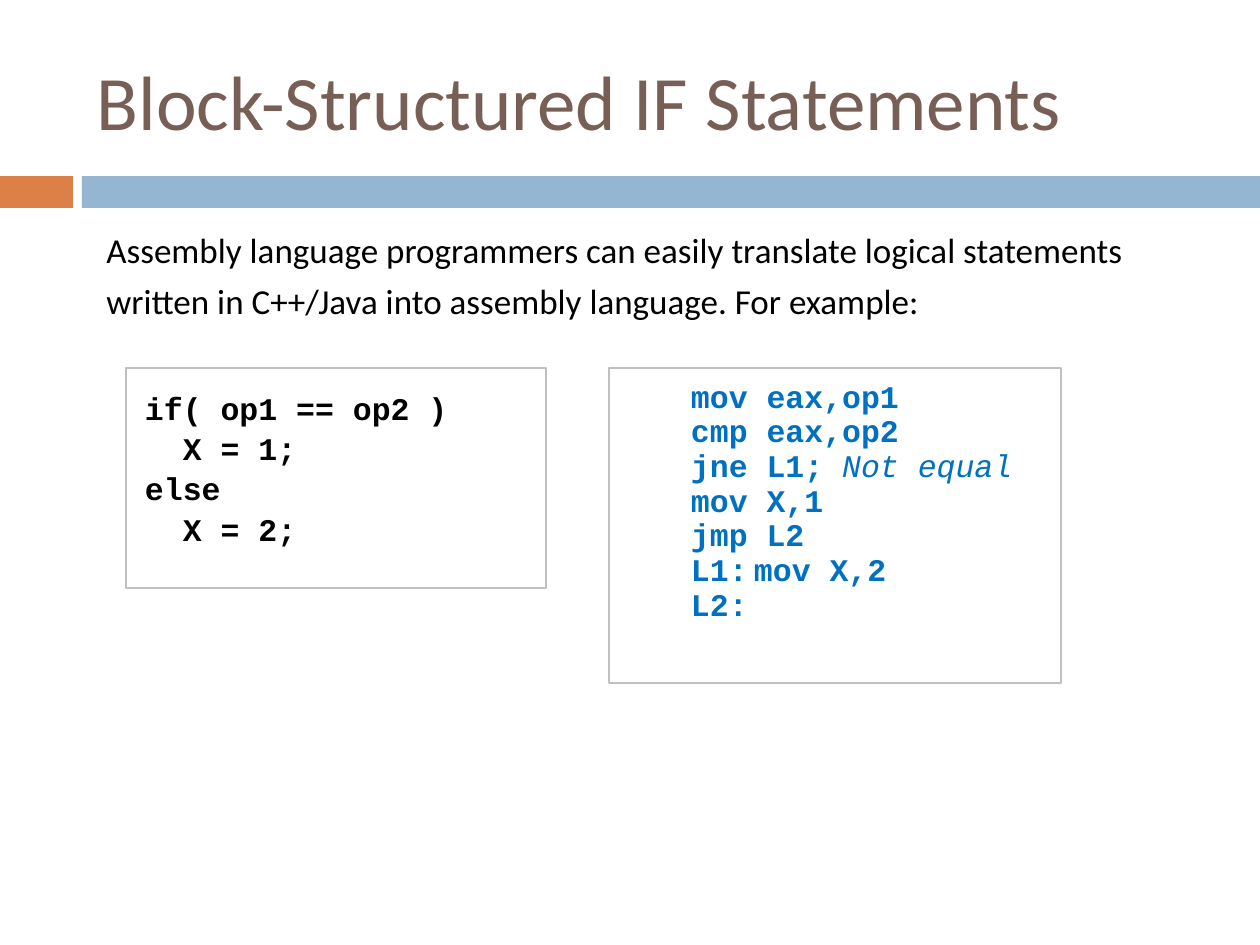
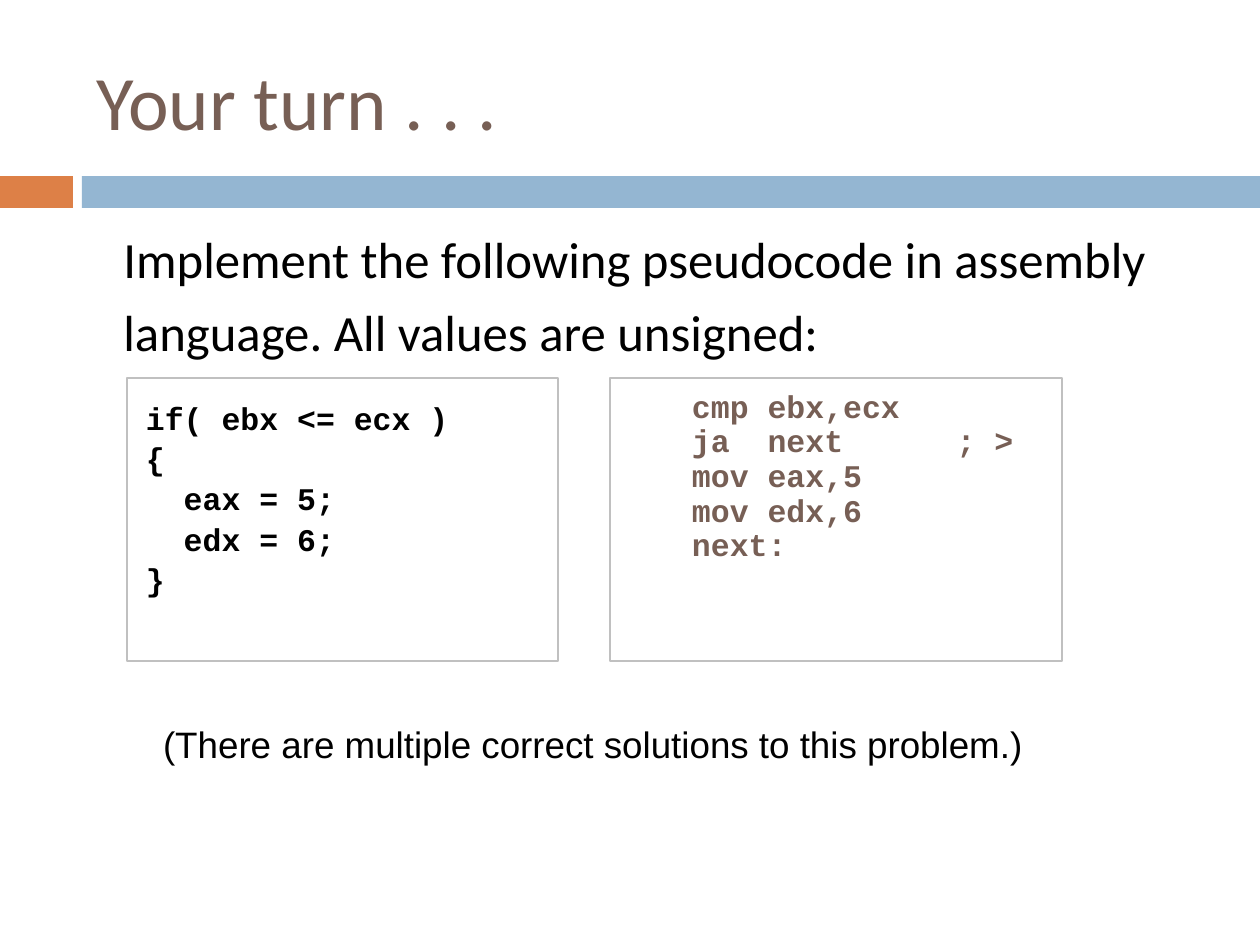
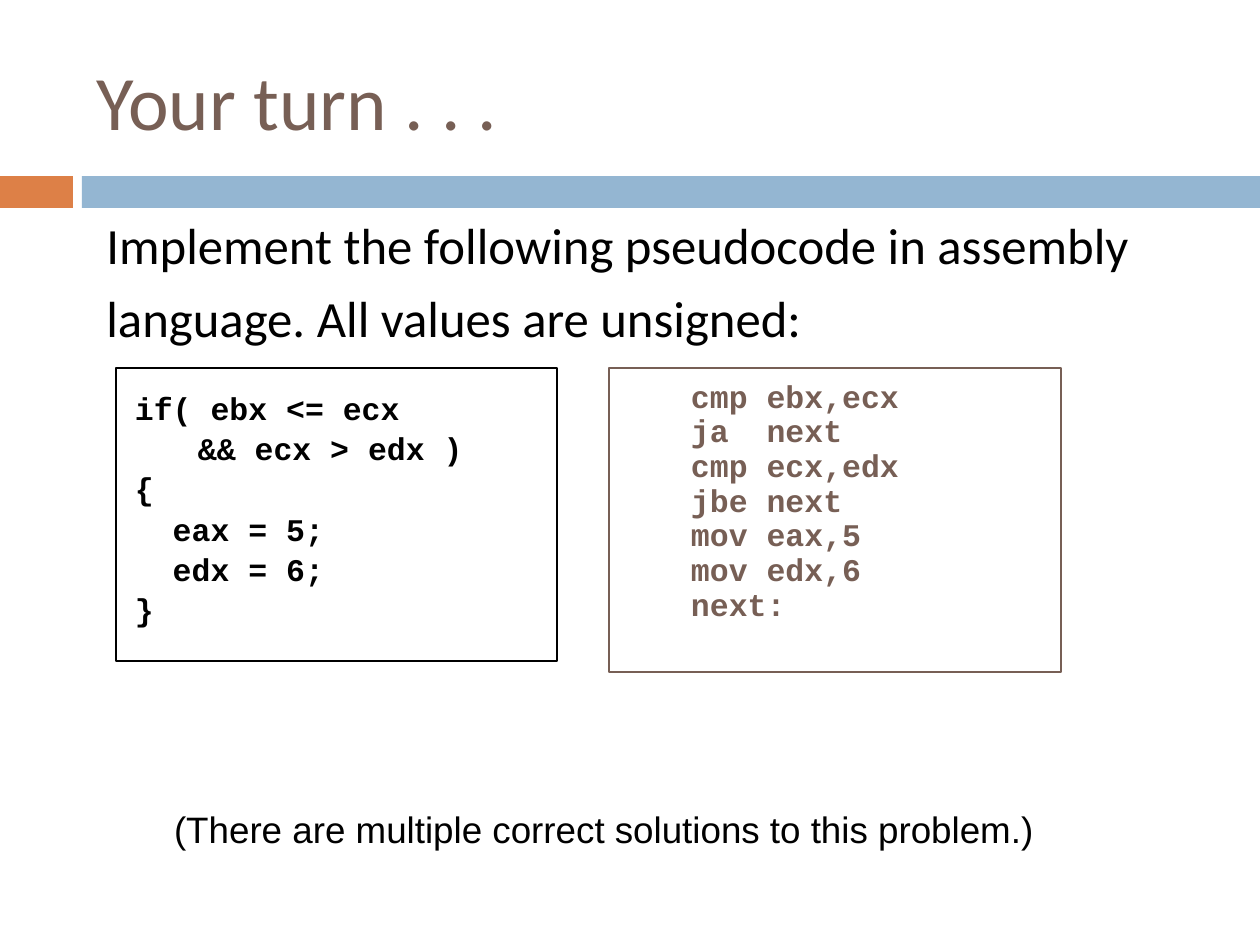
from lxml.etree import SubElement
from pptx import Presentation
from pptx.dml.color import RGBColor
from pptx.enum.shapes import MSO_SHAPE as Shape
from pptx.enum.text import MSO_ANCHOR as Anchor, MSO_AUTO_SIZE as AutoSize, PP_ALIGN as Align
from pptx.oxml.ns import qn
from pptx.util import Emu, Pt

PX = 914400 / 126
COLORS = {
    "brown": "775F55",
    "orange": "DD8047",
    "band": "94B6D2",
    "blue": "0070C0",
    "gray": "C0C0C0",
    "black": "000000",
}
TASK = "Implement the following pseudocode in assembly language. All values are unsigned:"
REMARK = "(There are multiple correct solutions to this problem.)"
TAB_STOPS = (63, 504, 567)


def px(length):
    """Turn pixels into EMU."""
    return Emu(round(length * PX))


def rgb(name):
    """Look up a named colour."""
    return RGBColor.from_string(COLORS[name])


def style(span, font, size, color, bold=False, italic=False):
    """Format one run."""
    span.font.name = font
    span.font.size = Pt(size)
    span.font.color.rgb = rgb(color)
    span.font.bold = bold
    span.font.italic = italic


def set_insets(frame, across, down):
    """Set the side and the top and bottom insets of a text frame."""
    frame.margin_left = frame.margin_right = px(across)
    frame.margin_top = frame.margin_bottom = px(down)


def space_before(para, percent):
    """Set the space before a paragraph as a percentage."""
    para.space_before = Pt(0)
    spacing = para._p.get_or_add_pPr().find(qn("a:spcBef"))
    spacing.remove(spacing[0])
    SubElement(spacing, qn("a:spcPct"), val=str(percent * 1000))


def add_tab_stops(para):
    """Add the left tab stops shared by all code."""
    tabs = SubElement(para._p.get_or_add_pPr(), qn("a:tabLst"))
    for stop in TAB_STOPS:
        SubElement(tabs, qn("a:tab"), pos=str(px(stop)), algn="l")


def add_rect(page, left, top, width, height):
    """Add a rectangle without shadow or fill."""
    box = page.shapes.add_shape(Shape.RECTANGLE, px(left), px(top), px(width), px(height))
    box.shadow.inherit = False
    box.fill.background()
    return box


def add_band(page, left, width, color):
    """Add one bar of the strip below the title."""
    band = add_rect(page, left, 176, width, 32)
    band.fill.solid()
    band.fill.fore_color.rgb = rgb(color)
    band.line.fill.background()


def add_page(deck, title):
    """Add a slide with its title and bands."""
    page = deck.slides.add_slide(deck.slide_layouts[5])
    add_band(page, 0, 73, "orange")
    add_band(page, 82, 1178, "band")
    heading = page.shapes.title
    heading.left, heading.top, heading.width, heading.height = map(px, (84, 32, 1124, 136))
    frame = heading.text_frame
    frame.text = title
    frame.word_wrap = True
    frame.auto_size = AutoSize.NONE
    frame.vertical_anchor = Anchor.MIDDLE
    frame.paragraphs[0].alignment = Align.LEFT
    style(frame.paragraphs[0].runs[0], "Calibri", 44, "brown")
    return page


def add_text(page, text, left, top, width, height, font, size):
    """Add a wrapped text box with one black paragraph."""
    box = page.shapes.add_textbox(px(left), px(top), px(width), px(height))
    frame = box.text_frame
    frame.word_wrap = True
    frame.text = text
    style(frame.paragraphs[0].runs[0], font, size, "black")
    return frame


def add_intro(page, text, left, top, size):
    """Add the sentence that introduces the code."""
    para = add_text(page, text, left, top, 1071, 168, "Calibri", size).paragraphs[0]
    para.line_spacing = 1.2
    para.space_before = Pt(7)


def add_remark(page, left, top):
    """Add the centred remark below the code."""
    frame = add_text(page, REMARK, left, top, 998, 82, "Arial", 21)
    set_insets(frame, 13, 19)
    frame.auto_size = AutoSize.SHAPE_TO_FIT_TEXT
    frame.paragraphs[0].alignment = Align.CENTER
    space_before(frame.paragraphs[0], 50)


def add_code(page, lines, place, color, border, leading, before, indent=0):
    """Add a framed listing, with any part after a bar in italics."""
    box = add_rect(page, *place)
    box.line.color.rgb = rgb(border)
    box.line.width = Pt(0.75)
    frame = box.text_frame
    frame.word_wrap = True
    frame.vertical_anchor = Anchor.TOP
    set_insets(frame, 19, 25)
    for number, line in enumerate(lines):
        para = frame.add_paragraph() if number else frame.paragraphs[0]
        code, _, comment = line.partition("|")
        para.text = code
        style(para.runs[0], "Courier New", 18, color, bold=True)
        if comment:
            span = para.add_run()
            span.text = comment
            style(span, "Courier New", 18, color, italic=True)
        para.alignment = Align.LEFT
        para.line_spacing = leading
        space_before(para, before)
        add_tab_stops(para)
        properties = para._p.get_or_add_pPr()
        properties.set("marL", str(px(indent)))
        properties.set("indent", "0")


def add_assembly(page, lines, place, color, border):
    """Add the tightly set assembly listing."""
    add_code(page, lines, place, color, border, 0.5, 50, indent=63)


def add_pseudocode(page, lines, place, border):
    """Add the high-level listing."""
    add_code(page, lines, place, "black", border, 0.9, 20)


def main():
    """Build the three slides."""
    deck = Presentation()
    deck.slide_width, deck.slide_height = px(1260), px(945)

    page = add_page(deck, "Block-Structured IF Statements")
    add_intro(
        page,
        "Assembly language programmers can easily translate logical statements "
        "written in C++/Java into assembly language. For example:",
        94, 214, 20,
    )
    add_assembly(
        page,
        ["mov eax,op1", "cmp eax,op2", "jne L1; |Not equal", "mov X,1", "jmp L2",
         "L1:\tmov X,2", "L2:"],
        (609, 368, 452, 315), "blue", "gray",
    )
    add_pseudocode(
        page, ["if( op1 == op2 )", "  X = 1;", "else", "  X = 2;"],
        (126, 368, 420, 220), "gray",
    )

    body = ["{", "  eax = 5;", "  edx = 6;", "}"]
    result = ["mov eax,5", "mov edx,6", "next:"]

    page = add_page(deck, "Your turn . . .")
    add_intro(page, TASK, 111, 209, 29)
    add_assembly(
        page, ["cmp ebx,ecx", "ja  next      ; >", *result],
        (610, 378, 452, 283), "brown", "gray",
    )
    add_pseudocode(page, ["if( ebx <= ecx )", *body], (127, 378, 431, 283), "gray")
    add_remark(page, 94, 703)

    page = add_page(deck, "Your turn . . .")
    add_intro(page, TASK, 94, 195, 29)
    add_assembly(
        page, ["cmp ebx,ecx", "ja  next", "cmp ecx,edx", "jbe next", *result],
        (609, 368, 452, 304), "brown", "brown",
    )
    add_pseudocode(
        page, ["if( ebx <= ecx", "\t&& ecx > edx )", *body],
        (116, 368, 441, 293), "black",
    )
    add_remark(page, 105, 788)

    deck.save("out.pptx")


if __name__ == "__main__":
    main()
